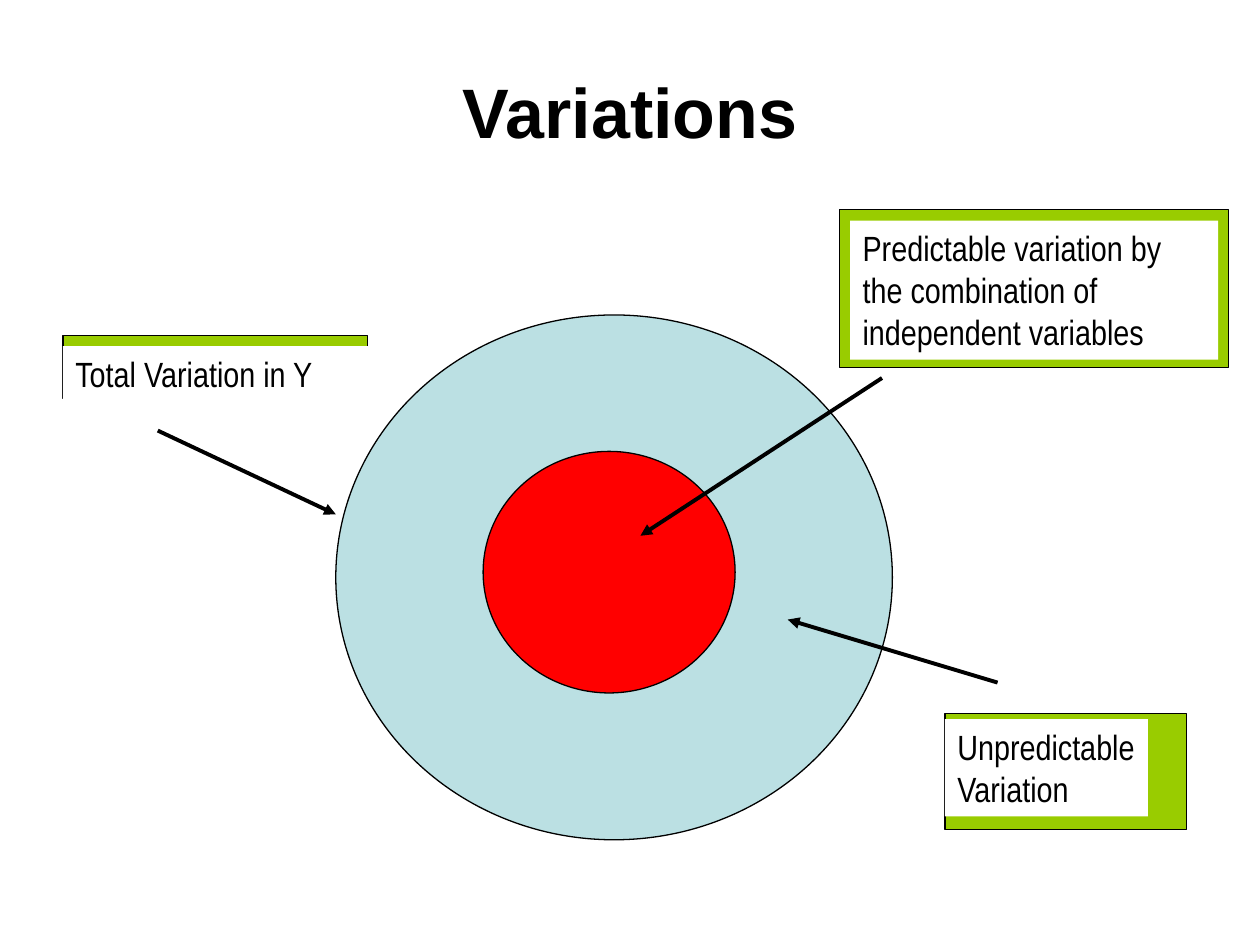
from lxml import etree
from pptx import Presentation
from pptx.dml.color import RGBColor
from pptx.enum.shapes import MSO_CONNECTOR, MSO_SHAPE
from pptx.enum.text import MSO_ANCHOR, MSO_AUTO_SIZE, PP_ALIGN
from pptx.oxml.ns import qn
from pptx.util import Cm, Pt

BLACK = RGBColor(0x00, 0x00, 0x00)
WHITE = RGBColor(0xFF, 0xFF, 0xFF)
GREEN = RGBColor(0x99, 0xCC, 0x00)
PALE_BLUE = RGBColor(0xBB, 0xE0, 0xE3)
RED = RGBColor(0xFF, 0x00, 0x00)


def format_runs(text_frame, font_name, size, bold=False):
    for paragraph in text_frame.paragraphs:
        for run in paragraph.runs:
            run.font.name = font_name
            run.font.size = Pt(size)
            run.font.bold = bold
            run.font.color.rgb = BLACK


def set_title(slide, wording):
    title = slide.shapes.title
    title.left, title.top = Cm(1.9), Cm(0.64)
    title.width, title.height = Cm(21.6), Cm(3.18)
    title.text_frame.text = wording
    title.text_frame.vertical_anchor = MSO_ANCHOR.MIDDLE
    title.text_frame.paragraphs[0].alignment = PP_ALIGN.CENTER
    format_runs(title.text_frame, "Arial", 40, bold=True)


def add_outlined(slide, preset, bounds, color):
    outlined = slide.shapes.add_shape(preset, *map(Cm, bounds))
    outlined.shadow.inherit = False
    outlined.fill.solid()
    outlined.fill.fore_color.rgb = color
    outlined.line.color.rgb = BLACK
    outlined.line.width = Pt(0.75)


def add_label(slide, wording, bounds, wrap=True):
    label = slide.shapes.add_textbox(*map(Cm, bounds))
    label.fill.solid()
    label.fill.fore_color.rgb = WHITE
    label.text_frame.text = wording
    label.text_frame.word_wrap = wrap
    label.text_frame.auto_size = MSO_AUTO_SIZE.SHAPE_TO_FIT_TEXT
    format_runs(label.text_frame, "Arial Narrow", 20)


def add_arrow(slide, start, end):
    arrow = slide.shapes.add_connector(MSO_CONNECTOR.STRAIGHT, *map(Cm, start + end))
    arrow.line.color.rgb = BLACK
    arrow.line.width = Pt(2.25)
    etree.SubElement(arrow.line._get_or_add_ln(), qn("a:tailEnd"), type="triangle")
    etree.SubElement(arrow._element.spPr, qn("a:effectLst"))


def main():
    presentation = Presentation()
    presentation.slide_width, presentation.slide_height = Cm(25.4), Cm(19.05)
    slide = presentation.slides.add_slide(presentation.slide_layouts[5])
    set_title(slide, "Variations")

    predictable_frame = (16.93, 4.23, 7.83, 3.18)
    unpredictable_frame = (19.05, 14.39, 4.87, 2.33)
    total_frame = (1.27, 6.77, 6.14, 1.27)
    for frame in (predictable_frame, unpredictable_frame, total_frame):
        add_outlined(slide, MSO_SHAPE.RECTANGLE, frame, GREEN)

    total_variation = (6.77, 6.35, 11.22, 10.58)
    predictable_part = (9.74, 9.1, 5.08, 4.87)
    add_outlined(slide, MSO_SHAPE.OVAL, total_variation, PALE_BLUE)
    add_outlined(slide, MSO_SHAPE.OVAL, predictable_part, RED)

    add_arrow(slide, (20.11, 13.76), (15.88, 12.49))
    add_arrow(slide, (17.78, 7.62), (12.91, 10.8))
    add_arrow(slide, (3.18, 8.68), (6.77, 10.37))

    add_label(
        slide,
        "Predictable variation by the combination of independent variables",
        (17.14, 4.45, 7.42, 2.8),
    )
    add_label(slide, "Total Variation in Y", (1.27, 6.98, 6.35, 1.11))
    add_label(slide, "Unpredictable\nVariation", (19.05, 14.5, 4.09, 1.96), wrap=False)

    presentation.save("out.pptx")


if __name__ == "__main__":
    main()
